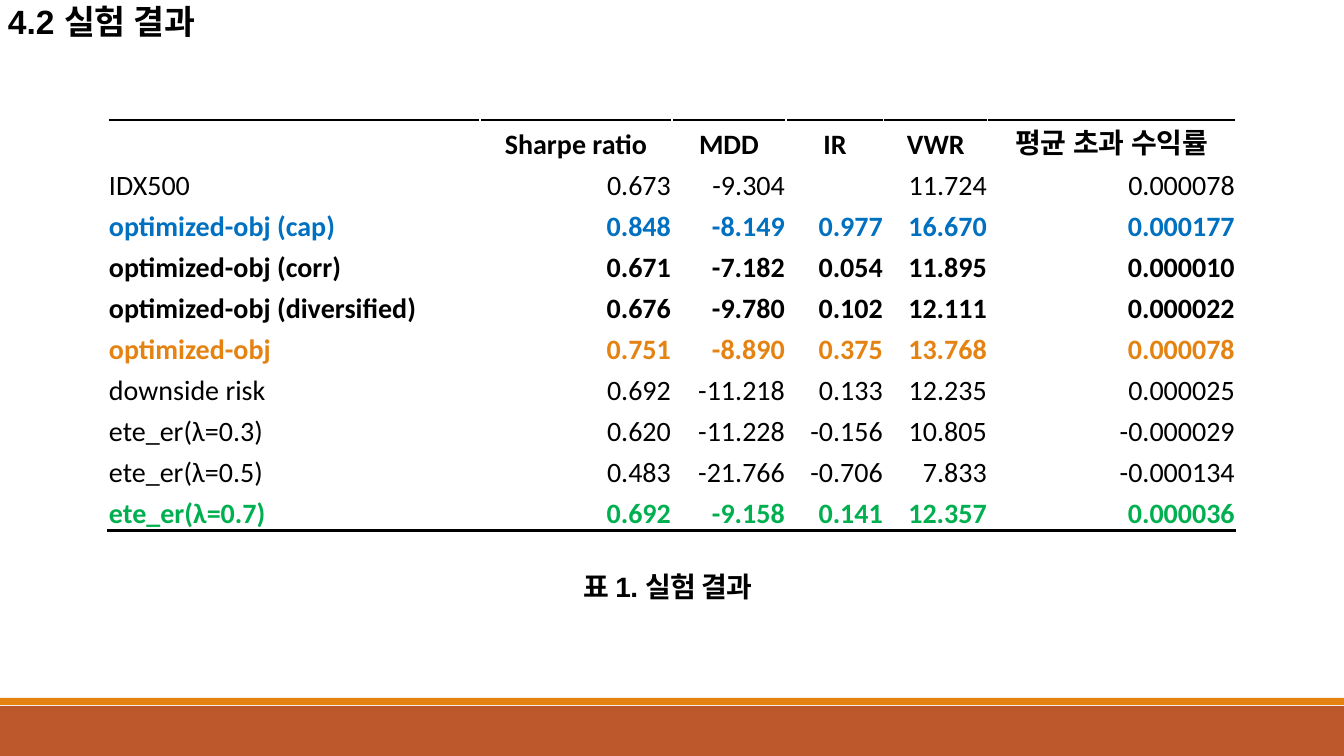
import pptx
import pptx.dml.color
import pptx.enum.shapes
import pptx.enum.text
import pptx.oxml
import pptx.oxml.ns
import pptx.util

RGB = pptx.dml.color.RGBColor
ALIGN = pptx.enum.text.PP_ALIGN
ANCHOR = pptx.enum.text.MSO_ANCHOR

BLACK = RGB(0x00, 0x00, 0x00)
WHITE = RGB(0xFF, 0xFF, 0xFF)
BLUE = RGB(0x00, 0x70, 0xC0)
ORANGE = RGB(0xE4, 0x83, 0x12)
GREEN = RGB(0x00, 0xB0, 0x50)
RUST = RGB(0xBD, 0x58, 0x2C)

# Content
TITLE = "4.2 실험 결과"
CAPTION = "표 1. 실험 결과"
HEADER = ("", "Sharpe ratio", "MDD", "IR", "VWR", "평균 초과 수익률")
RESULTS = [  # values, colour, bold
    (("IDX500", "0.673", "-9.304", "", "11.724", "0.000078"), BLACK, False),
    (("optimized-obj (cap)", "0.848", "-8.149", "0.977", "16.670", "0.000177"), BLUE, True),
    (("optimized-obj (corr)", "0.671", "-7.182", "0.054", "11.895", "0.000010"), BLACK, True),
    (("optimized-obj (diversified)", "0.676", "-9.780", "0.102", "12.111", "0.000022"), BLACK, True),
    (("optimized-obj", "0.751", "-8.890", "0.375", "13.768", "0.000078"), ORANGE, True),
    (("downside risk", "0.692", "-11.218", "0.133", "12.235", "0.000025"), BLACK, False),
    (("ete_er(λ=0.3)", "0.620", "-11.228", "-0.156", "10.805", "-0.000029"), BLACK, False),
    (("ete_er(λ=0.5)", "0.483", "-21.766", "-0.706", "7.833", "-0.000134"), BLACK, False),
    (("ete_er(λ=0.7)", "0.692", "-9.158", "0.141", "12.357", "0.000036"), GREEN, True),
]
COLUMN_WIDTHS = (372, 192, 114, 98, 104, 248)
ROW_HEIGHT = 41
TABLE_LEFT, TABLE_TOP = 108, 120
FOOTER_BANDS = ((706, 50, RUST), (698, 7, ORANGE))  # top, height, colour
PAGE_WIDTH, PAGE_HEIGHT = 1344, 756


def px(length):
    return pptx.util.Emu(round(length * 914400 / 100.8))


def add_band(page, left, top, width, height, color):
    band = page.shapes.add_shape(
        pptx.enum.shapes.MSO_SHAPE.RECTANGLE, px(left), px(top), px(width), px(height))
    band.shadow.inherit = False
    band.fill.solid()
    band.fill.fore_color.rgb = color
    band.line.fill.background()
    return band


def add_span(para, text, font, size, color=BLACK, bold=True):
    span = para.add_run()
    span.text = text
    span.font.name = font
    span.font.size = pptx.util.Pt(size)
    span.font.color.rgb = color
    span.font.bold = bold
    return span


def set_indent(para, left, first):
    properties = para._p.get_or_add_pPr()
    properties.set("marL", str(px(left)))
    properties.set("indent", str(px(first)))


def add_rule(cell, side):
    cell._tc.get_or_add_tcPr().append(pptx.oxml.parse_xml(
        f'<a:{side} {pptx.oxml.ns.nsdecls("a")} w="{pptx.util.Pt(2)}">'
        f'<a:solidFill><a:srgbClr val="{BLACK}"/></a:solidFill></a:{side}>'))


deck = pptx.Presentation()
deck.slide_width, deck.slide_height = px(PAGE_WIDTH), px(PAGE_HEIGHT)
page = deck.slides.add_slide(deck.slide_layouts[6])

# Footer bands
for top, height, color in FOOTER_BANDS:
    add_band(page, 0, top, PAGE_WIDTH, height, color)

# Section title
title = add_band(page, 0, 0, 1247, 201, WHITE).text_frame
title.word_wrap = True
title.vertical_anchor = ANCHOR.TOP
title.margin_left = title.margin_right = 0
title.margin_top = title.margin_bottom = px(5)
para = title.paragraphs[0]
para.alignment = ALIGN.LEFT
para.line_spacing = 0.9
para.space_before, para.space_after = pptx.util.Pt(2), pptx.util.Pt(4)
set_indent(para, 8, 0)
add_span(para, TITLE, "Arial", 24)

# Results table
rows = [(HEADER, BLACK, True)] + RESULTS
table = page.shapes.add_table(
    len(rows), len(HEADER), px(TABLE_LEFT), px(TABLE_TOP),
    px(sum(COLUMN_WIDTHS)), px(ROW_HEIGHT * len(rows))).table
table.first_row = table.horz_banding = False
for column, width in zip(table.columns, COLUMN_WIDTHS):
    column.width = px(width)
for row_index, (values, color, bold) in enumerate(rows):
    table.rows[row_index].height = px(ROW_HEIGHT)
    for column_index, value in enumerate(values):
        cell = table.cell(row_index, column_index)
        cell.vertical_anchor = ANCHOR.BOTTOM
        cell.margin_left = cell.margin_right = cell.margin_top = px(1)
        cell.margin_bottom = 0
        if row_index == 0:
            add_rule(cell, "lnT")
        if row_index == len(rows) - 1:
            add_rule(cell, "lnB")
        cell.fill.solid()
        cell.fill.fore_color.rgb = WHITE
        if value:
            para = cell.text_frame.paragraphs[0]
            if row_index == 0:
                para.alignment = ALIGN.CENTER
            else:
                para.alignment = ALIGN.RIGHT if column_index else ALIGN.LEFT
            add_span(para, value, "Calibri", 20, color, bold)

# Caption
caption = page.shapes.add_textbox(px(244), px(554), px(848), px(49)).text_frame
caption.word_wrap = True
caption.auto_size = pptx.enum.text.MSO_AUTO_SIZE.SHAPE_TO_FIT_TEXT
para = caption.paragraphs[0]
para.alignment = ALIGN.CENTER
para.line_spacing = 1.3
set_indent(para, 47, -47)
span = add_span(para, CAPTION, "Arial", 20)
span._r.get_or_add_rPr().set("spc", "-50")

deck.save("out.pptx")
